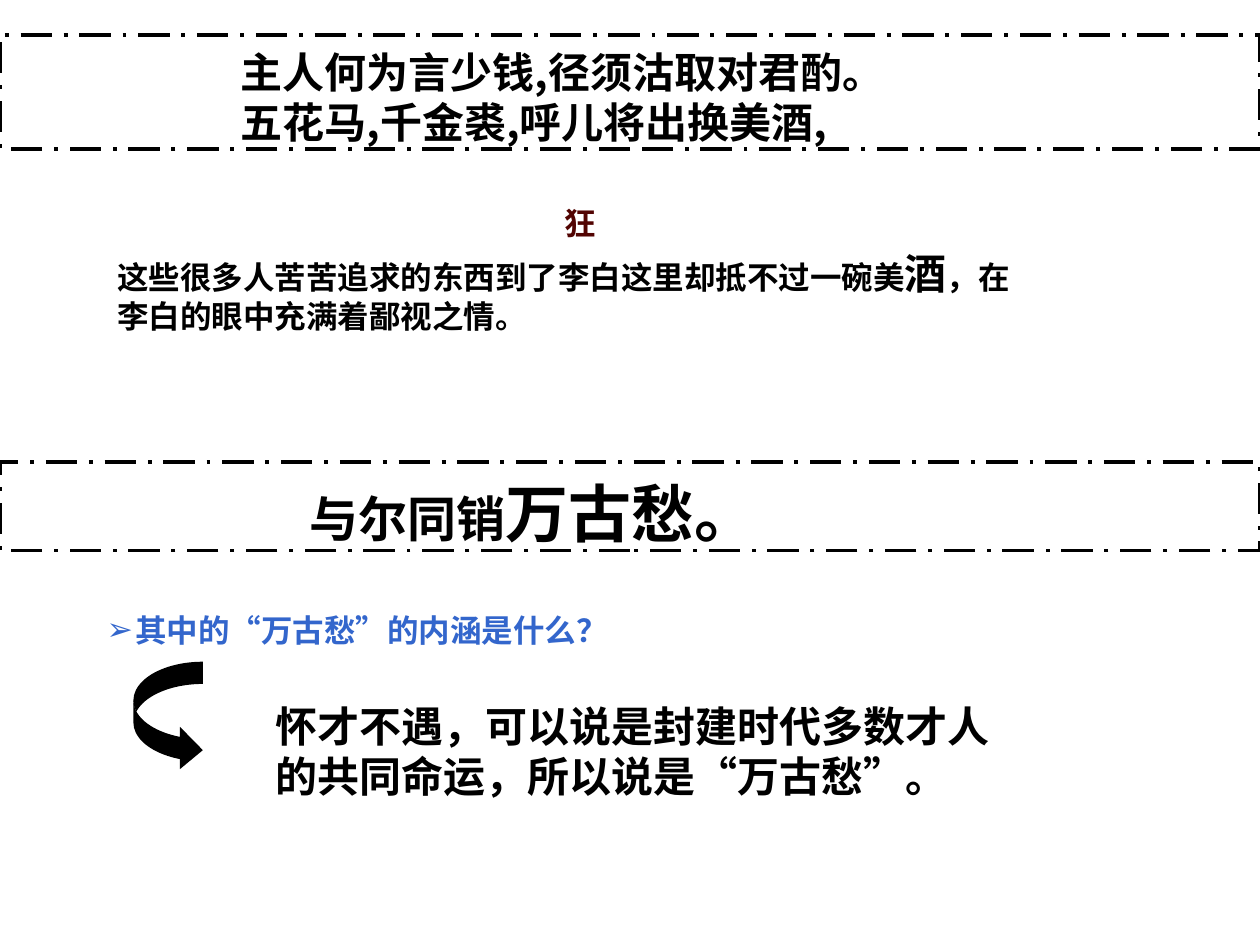
from lxml import etree
from pptx import Presentation
from pptx import util as u
from pptx.dml import color
from pptx.enum import dml, shapes, text
from pptx.oxml import ns

CJK = "Noto Sans CJK SC"
BLACK = "000000"


def rgb(value):
    return color.RGBColor.from_string(value)


def add_xml(parent, tag, **attributes):
    return etree.SubElement(parent, ns.qn(tag), attributes)


def apply(target, values):
    for name, value in values.items():
        setattr(target, name, value)


class PoemSlide:
    def __init__(self, slide):
        self.slide = slide
        self.title, self.body = slide.placeholders
        self.frame_format = {
            "word_wrap": True,
            "auto_size": text.MSO_AUTO_SIZE.NONE,
            "vertical_anchor": text.MSO_ANCHOR.TOP,
            "margin_left": u.Cm(0.25),
            "margin_right": u.Cm(0.25),
            "margin_bottom": u.Cm(0.13),
        }

    def place(self, shape, box):
        names = ("left", "top", "width", "height")
        apply(shape, dict(zip(names, map(u.Cm, box))))

    def set_text(self, shape, runs, spacing, inset, font=CJK, fill=BLACK,
                 indent=0, align=text.PP_ALIGN.LEFT, wrap=True):
        frame = shape.text_frame
        apply(frame, {**self.frame_format, "margin_top": u.Cm(inset), "word_wrap": wrap})
        paragraph = frame.paragraphs[0]
        for words, size in runs:
            for number, line in enumerate(words.split("\n")):
                if number:
                    paragraph.add_line_break()
                run = paragraph.add_run()
                run.text = line
                apply(run.font, {"size": u.Pt(size), "bold": True, "name": font})
                run.font.color.rgb = rgb(fill)
                add_xml(run.font._element, "a:ea", typeface=CJK)
        apply(paragraph, {"alignment": align, "line_spacing": u.Pt(spacing),
                          "space_before": u.Pt(0), "space_after": u.Pt(0)})
        properties = paragraph._p.get_or_add_pPr()
        properties.set("marL", str(u.Cm(indent)))
        properties.set("indent", "0")
        return properties

    def band(self, shape, box, runs, **style):
        self.place(shape, box)
        shape.fill.solid()
        shape.fill.fore_color.rgb = rgb("FFFFFF")
        fill = shape._element.spPr.find(ns.qn("a:solidFill"))
        add_xml(fill[0], "a:alpha", val="51000")
        shape.line.color.rgb = rgb(BLACK)
        apply(shape.line, {"width": u.Pt(2.25), "dash_style": dml.MSO_LINE.LONG_DASH_DOT})
        shape.shadow.inherit = False
        self.set_text(shape, runs, **style)

    def rectangle(self, box):
        return self.slide.shapes.add_shape(shapes.MSO_SHAPE.RECTANGLE, *map(u.Cm, box))

    def note(self, box, runs, **style):
        shape = self.slide.shapes.add_textbox(*map(u.Cm, box))
        self.set_text(shape, runs, **style)

    def question(self, box, runs, fill, indent, **style):
        self.place(self.body, box)
        properties = self.set_text(self.body, runs, fill=fill, indent=indent, **style)
        properties.set("indent", str(-u.Cm(indent)))
        add_xml(add_xml(properties, "a:buClr"), "a:srgbClr", val=fill)
        add_xml(properties, "a:buFont", typeface="Arial")
        add_xml(properties, "a:buChar", char="➢")

    def curved_arrow(self, box, adjustments):
        shape = self.slide.shapes.add_shape(
            shapes.MSO_SHAPE.CURVED_RIGHT_ARROW, *map(u.Cm, box))
        for index, value in enumerate(adjustments):
            shape.adjustments[index] = value
        shape.fill.solid()
        shape.fill.fore_color.rgb = rgb(BLACK)
        shape.line.fill.background()
        shape.shadow.inherit = False


def main():
    presentation = Presentation()
    apply(presentation, {"slide_width": u.Cm(25.4), "slide_height": u.Cm(19.05)})
    poem = PoemSlide(presentation.slides.add_slide(presentation.slide_layouts[1]))

    poem.band(poem.title, (0, 0.71, 25.4, 2.29),
              [("主人何为言少钱,径须沽取对君酌。\n五花马,千金裘,呼儿将出换美酒,", 24)],
              spacing=28.6, inset=0.23, indent=4.6)
    poem.note((2.11, 4.93, 18.59, 2.03),
              [("这些很多人苦苦追求的东西到了李白这里却抵不过一碗美", 18), ("酒", 24),
               ("，在李白的眼中充满着鄙视之情。", 18)],
              spacing=21.1, inset=0.33)
    verse_box = (0, 9.32, 25.4, 1.78)
    poem.band(poem.rectangle(verse_box), verse_box,
              [("与尔同销", 28), ("万古愁。", 36)],
              spacing=43, inset=0.25, font="Arial", indent=6)
    poem.question((1.9, 12.12, 11.4, 1.02), [("其中的“万古愁”的内涵是什么？", 18)],
                  fill="3366CC", indent=0.58, spacing=21.4, inset=0.2, font="Arial")
    poem.note((5.31, 13.92, 15.6, 3.84),
              [("怀才不遇，可以说是封建时代多数才人的共同命运，所以说是“万古愁”。", 24)],
              spacing=28.6, inset=0.21, font="Arial")
    poem.curved_arrow((2.69, 13.34, 1.4, 2.21), (0.32, 0.61, 0.33))
    poem.note((3.3, 3.94, 16.79, 10.87), [("狂", 18)], spacing=21.4, inset=0.18,
              fill="520402", align=text.PP_ALIGN.CENTER, wrap=False)

    presentation.save("out.pptx")


if __name__ == "__main__":
    main()
